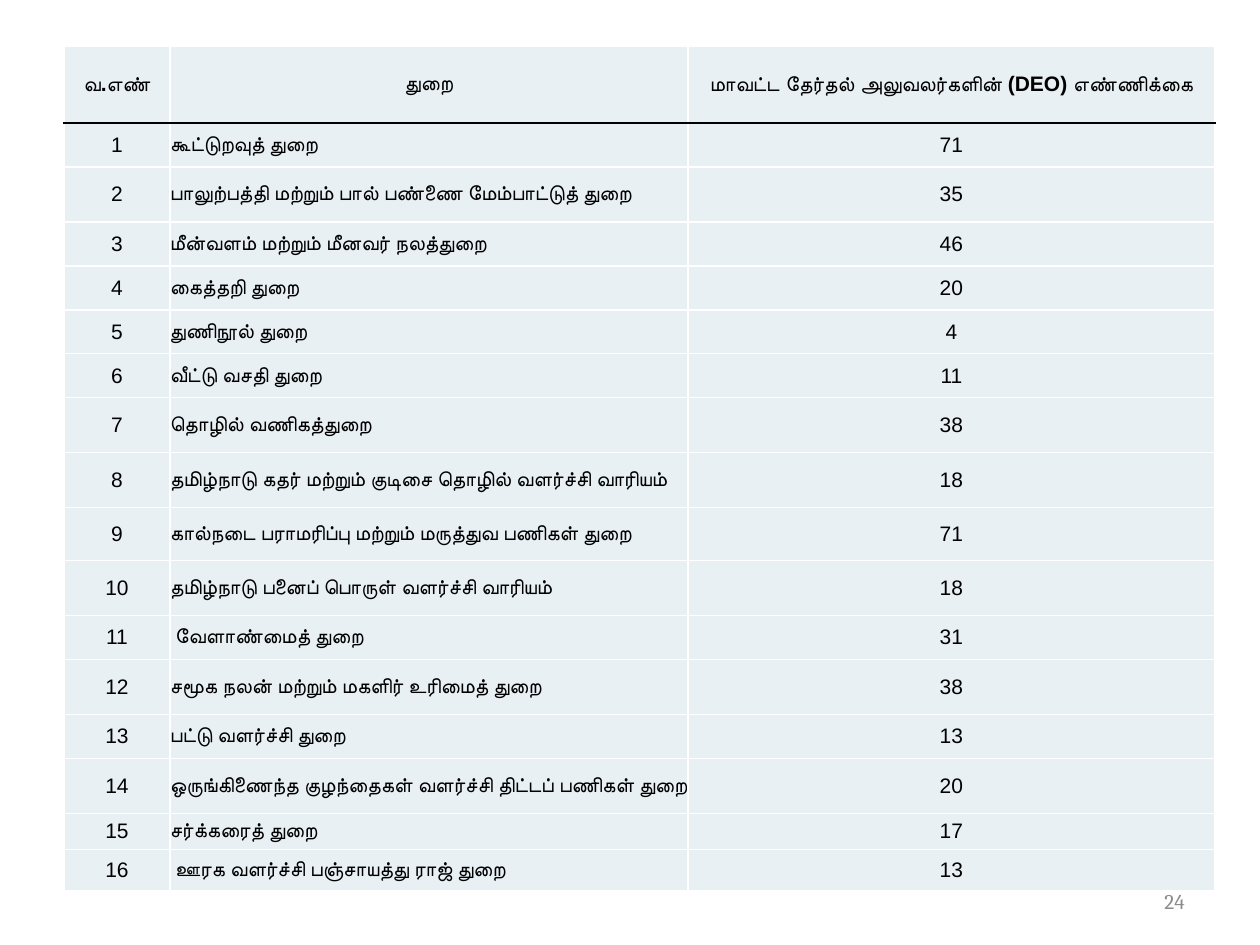
from lxml.etree import SubElement
from pptx import Presentation
from pptx.dml.color import RGBColor
from pptx.enum.text import MSO_ANCHOR, PP_ALIGN
from pptx.oxml.ns import qn
from pptx.util import Pt

EMU_PER_PX = 914400 / 126
FILL = "E8F0F4"
WHITE = "FFFFFF"
BLACK = "000000"
GREY = "8C8C8C"

COLUMN_WIDTHS = [106, 518, 527]
HEADER_HEIGHT = 77
HEADERS = ["வ.எண்", "துறை", "மாவட்ட தேர்தல் அலுவலர்களின் (DEO) எண்ணிக்கை"]
DEPARTMENTS = [
    ("கூட்டுறவுத் துறை", 71, 44),
    ("பாலுற்பத்தி மற்றும் பால் பண்ணை மேம்பாட்டுத் துறை", 35, 55),
    ("மீன்வளம் மற்றும் மீனவர் நலத்துறை", 46, 44),
    ("கைத்தறி துறை", 20, 44),
    ("துணிநூல் துறை", 4, 44),
    ("வீட்டு வசதி துறை", 11, 44),
    ("தொழில் வணிகத்துறை", 38, 55),
    ("தமிழ்நாடு கதர் மற்றும் குடிசை தொழில் வளர்ச்சி வாரியம்", 18, 55),
    ("கால்நடை பராமரிப்பு மற்றும் மருத்துவ பணிகள் துறை", 71, 53),
    ("தமிழ்நாடு பனைப் பொருள் வளர்ச்சி வாரியம்", 18, 55),
    (" வேளாண்மைத் துறை", 31, 44),
    ("சமூக நலன் மற்றும் மகளிர் உரிமைத் துறை", 38, 55),
    ("பட்டு வளர்ச்சி துறை", 13, 44),
    ("ஒருங்கிணைந்த குழந்தைகள் வளர்ச்சி திட்டப் பணிகள் துறை", 20, 55),
    ("சர்க்கரைத் துறை", 17, 36),
    (" ஊரக வளர்ச்சி பஞ்சாயத்து ராஜ் துறை", 13, 41),
]


def px(length):
    return round(length * EMU_PER_PX)


def rgb(color):
    return RGBColor.from_string(color)


def format_paragraph(paragraph, font_name, color, alignment, bold=False):
    paragraph.alignment = alignment
    paragraph.font.name = font_name
    paragraph.font.size = Pt(12)
    paragraph.font.bold = bold
    paragraph.font.color.rgb = rgb(color)


def set_borders(cell, top, bottom):
    properties = cell._tc.get_or_add_tcPr()
    borders = {"L": WHITE, "R": WHITE, "T": top, "B": bottom}
    for side, color in borders.items():
        line = SubElement(properties, qn(f"a:ln{side}"), w=str(Pt(1)))
        solid_fill = SubElement(line, qn("a:solidFill"))
        SubElement(solid_fill, qn("a:srgbClr"), val=color)


def fill_cell(cell, text, row, column):
    is_header = row == 0
    set_borders(cell, BLACK if row == 1 else WHITE, BLACK if is_header else WHITE)
    cell.fill.solid()
    cell.fill.fore_color.rgb = rgb(FILL)
    cell.margin_left = cell.margin_right = cell.margin_top = cell.margin_bottom = 0
    cell.vertical_anchor = MSO_ANCHOR.MIDDLE
    cell.text = text
    is_name = column == 1 and not is_header
    alignment = PP_ALIGN.LEFT if is_name else PP_ALIGN.CENTER
    format_paragraph(cell.text_frame.paragraphs[0], "Arial", BLACK, alignment, is_header)


def add_department_table(slide):
    rows = [HEADERS] + [
        [str(number), name, str(count)]
        for number, (name, count, _) in enumerate(DEPARTMENTS, 1)
    ]
    heights = [HEADER_HEIGHT] + [height for _, _, height in DEPARTMENTS]
    table = slide.shapes.add_table(
        len(rows), len(HEADERS), px(64), px(46), px(sum(COLUMN_WIDTHS)), px(sum(heights))
    ).table
    for column, width in zip(table.columns, COLUMN_WIDTHS):
        column.width = px(width)
    for row, height in zip(table.rows, heights):
        row.height = px(height)
    for row, texts in enumerate(rows):
        for column, text in enumerate(texts):
            fill_cell(table.cell(row, column), text, row, column)


def add_page_number(slide, number):
    text_frame = slide.shapes.add_textbox(px(903), px(876), px(294), px(50)).text_frame
    text_frame.word_wrap = True
    text_frame.vertical_anchor = MSO_ANCHOR.MIDDLE
    text_frame.text = number
    format_paragraph(text_frame.paragraphs[0], "Cambria", GREY, PP_ALIGN.RIGHT)


def main():
    presentation = Presentation()
    presentation.slide_width = px(1260)
    presentation.slide_height = px(945)
    slide = presentation.slides.add_slide(presentation.slide_layouts[6])
    add_department_table(slide)
    add_page_number(slide, "24")
    presentation.save("out.pptx")


if __name__ == "__main__":
    main()
